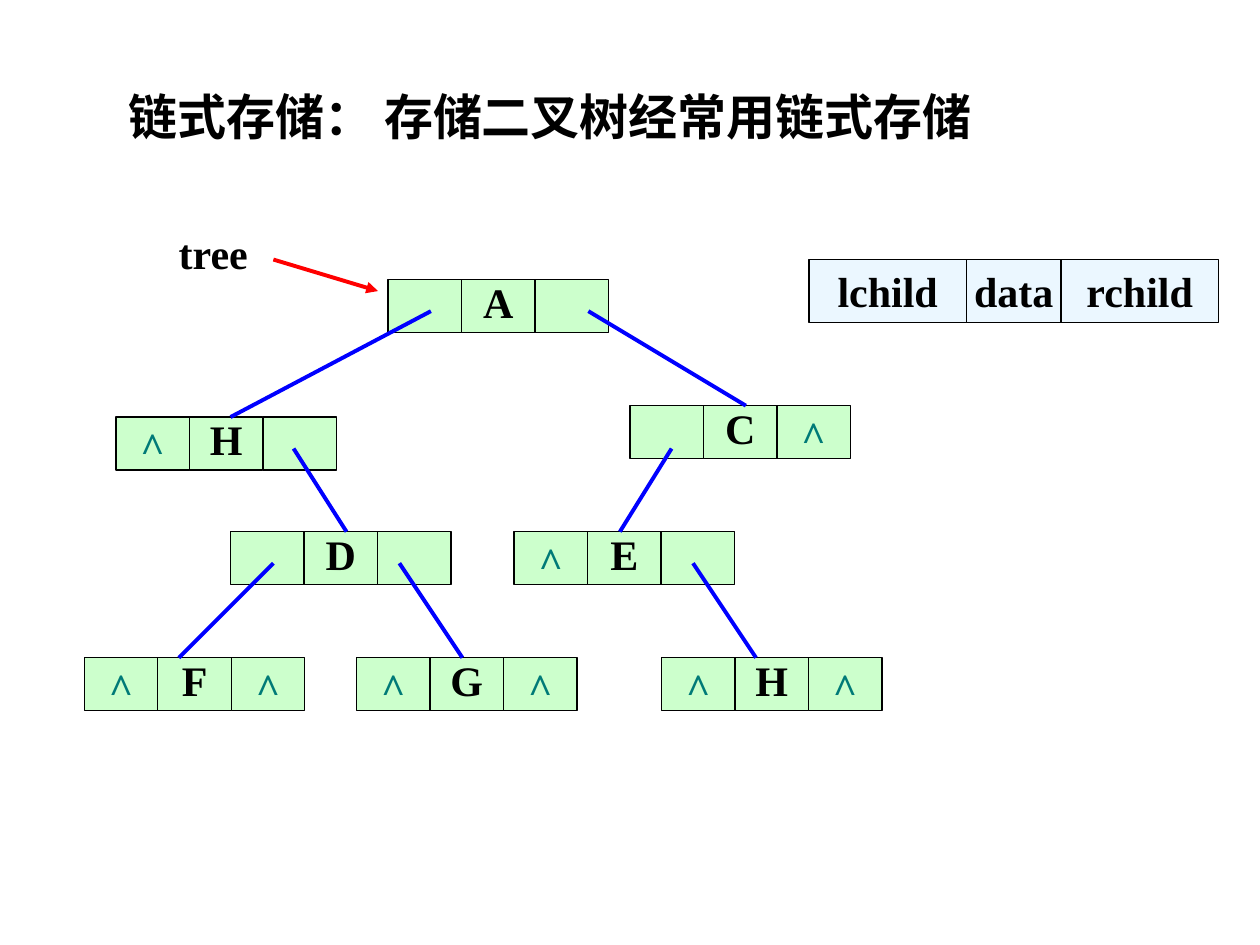
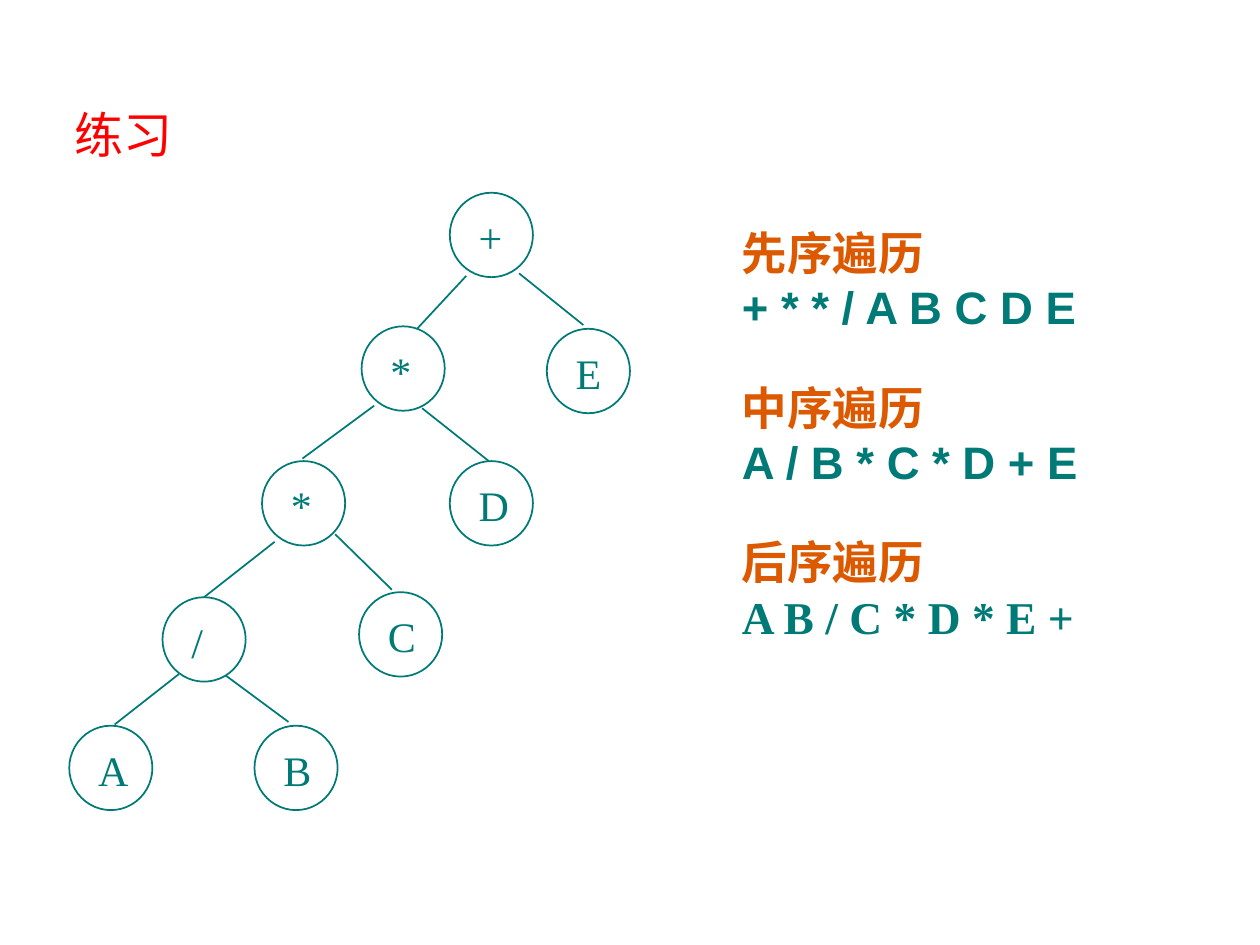
from lxml import etree
from pptx import Presentation
from pptx.dml.color import RGBColor
from pptx.enum.shapes import MSO_CONNECTOR, MSO_SHAPE
from pptx.enum.text import MSO_ANCHOR, MSO_AUTO_SIZE, PP_ALIGN
from pptx.oxml.ns import qn
from pptx.util import Inches, Pt

RECT, OVAL = MSO_SHAPE.RECTANGLE, MSO_SHAPE.OVAL
STRAIGHT = MSO_CONNECTOR.STRAIGHT
TOP, MIDDLE = MSO_ANCHOR.TOP, MSO_ANCHOR.MIDDLE
GROW, FIXED = MSO_AUTO_SIZE.SHAPE_TO_FIT_TEXT, MSO_AUTO_SIZE.NONE
LEFT, CENTER = PP_ALIGN.LEFT, PP_ALIGN.CENTER

BLACK = RGBColor(0x00, 0x00, 0x00)
TEAL = RGBColor(0x00, 0x7A, 0x77)
ORANGE = RGBColor(0xDC, 0x59, 0x00)
RED = RGBColor(0xFF, 0x00, 0x00)
BLUE = RGBColor(0x00, 0x00, 0xFF)
MINT = RGBColor(0xCC, 0xFF, 0xCC)
PALE = RGBColor(0xEB, 0xF7, 0xFF)
SERIF, SANS, HAN = "Times New Roman", "Arial", "Noto Sans CJK SC"

# Slide 1: linked storage of a binary tree
TITLE = "链式存储： 存储二叉树经常用链式存储"
FIELDS = [("lchild", 1.25), ("data", 0.75), ("rchild", 1.25)]
FIELD_X, FIELD_Y, FIELD_H = 6.42, 2.06, 0.5
CELL_W, CELL_H = 7 / 12, 0.42
NIL = "^"
RECORDS = [  # left, top, cells
    (3.08, 2.22, ("", "A", "")),
    (0.92, 3.31, (NIL, "H", "")),
    (1.83, 4.22, ("", "D", "")),
    (5.00, 3.22, ("", "C", NIL)),
    (2.83, 5.22, (NIL, "G", NIL)),
    (0.67, 5.22, (NIL, "F", NIL)),
    (5.25, 5.22, (NIL, "H", NIL)),
    (4.08, 4.22, (NIL, "E", "")),
]
POINTERS = [  # x1, y1, x2, y2
    (3.42, 2.47, 1.83, 3.31),
    (4.67, 2.47, 5.92, 3.22),
    (5.33, 3.56, 4.92, 4.22),
    (5.50, 4.47, 6.00, 5.22),
    (3.17, 4.47, 3.67, 5.22),
    (2.17, 4.47, 1.42, 5.22),
    (2.33, 3.56, 2.75, 4.22),
]
ROOT = (2.17, 2.06, 3.00, 2.31)

# Slide 2: traversal exercise
NODE_W, NODE_H = 0.66, 0.67
NODES = [  # left, top, label, label width
    (3.57, 1.53, "+", 0.39),
    (2.87, 2.59, "*", 0.37),
    (0.55, 5.76, "A", 0.44),
    (2.08, 3.66, "*", 0.37),
    (1.29, 4.74, "/", 0.29),
    (4.34, 2.61, "E", 0.41),
    (3.57, 3.66, "D", 0.44),
    (2.85, 4.70, "C", 0.42),
    (2.02, 5.76, "B", 0.42),
]
EDGES = [
    (3.70, 2.19, 3.31, 2.61),
    (1.42, 5.35, 0.91, 5.75),
    (2.97, 3.22, 2.40, 3.64),
    (2.18, 4.30, 1.62, 4.74),
    (4.12, 2.17, 4.63, 2.58),
    (3.35, 3.24, 3.88, 3.66),
    (2.66, 4.24, 3.11, 4.68),
    (1.79, 5.36, 2.29, 5.73),
]
ORDERS = [  # box, heading, sequence, font, anchor, wrap, fit
    ((5.79, 1.76, 2.88, 0.91), "先序遍历", "+ * * / A B C D E", SANS, MIDDLE, False, FIXED),
    ((5.79, 2.95, 2.88, 0.99), "中序遍历", "A / B * C * D + E", SANS, MIDDLE, False, FIXED),
    ((5.79, 4.19, 2.99, 0.97), "后序遍历", "A B / C * D * E +", SERIF, TOP, True, GROW),
]


def write(frame, lines, size, font=SERIF, bold=True, align=LEFT, space=None,
          anchor=TOP, wrap=False, fit=FIXED):
    """Fill a frame with (text, colour) lines."""
    frame.text = "\n".join(text for text, _ in lines)
    frame.word_wrap, frame.auto_size = wrap, fit
    frame.vertical_anchor = anchor
    for para, (_, color) in zip(frame.paragraphs, lines):
        para.alignment, para.line_spacing = align, space
        for run in para.runs:
            run.font.name, run.font.size, run.font.bold = font, Pt(size), bold
            run.font.color.rgb = color
            east = etree.SubElement(run.font._element, qn("a:ea"))
            east.set("typeface", HAN)


def label(slide, box, lines, size, **style):
    frame = slide.shapes.add_textbox(*map(Inches, box)).text_frame
    write(frame, lines, size, **style)


def outline(slide, kind, box, color, width, fill=None):
    shape = slide.shapes.add_shape(kind, *map(Inches, box))
    shape.shadow.inherit = False
    if fill is None:
        shape.fill.background()
    else:
        shape.fill.solid()
        shape.fill.fore_color.rgb = fill
    shape.line.color.rgb, shape.line.width = color, Pt(width)
    return shape


def cell(slide, box, text, fill, color=BLACK, space=None):
    shape = outline(slide, RECT, box, BLACK, 0.75, fill)
    if text:
        write(shape.text_frame, [(text, color)], 24, align=CENTER,
              space=space, anchor=MIDDLE)


def link(slide, ends, color, width, arrow=False):
    line = slide.shapes.add_connector(STRAIGHT, *map(Inches, ends))
    line.line.color.rgb, line.line.width = color, Pt(width)
    if arrow:
        tail = etree.SubElement(line.line._get_or_add_ln(), qn("a:tailEnd"))
        tail.set("type", "triangle")
    etree.SubElement(line._element.spPr, qn("a:effectLst"))


def draw_storage(slide):
    label(slide, (0.92, 0.64, 7.75, 0.57), [(TITLE, BLACK)], 28,
          wrap=True, fit=GROW)
    # Record layout
    x = FIELD_X
    for name, width in FIELDS:
        cell(slide, (x, FIELD_Y, width, FIELD_H), name, PALE)
        x += width
    # Tree records
    for left, top, texts in RECORDS:
        for i, text in enumerate(texts):
            color, space = (TEAL, 1.1) if text == NIL else (BLACK, 0.8)
            box = (left + i * CELL_W, top, CELL_W, CELL_H)
            cell(slide, box, text, MINT, color, space)
    # Pointers
    for ends in POINTERS:
        link(slide, ends, BLUE, 2.25)
    link(slide, ROOT, RED, 2.25, arrow=True)
    label(slide, (1.32, 1.83, 0.75, 0.42), [("tree", BLACK)], 24,
          space=0.8, fit=GROW)


def draw_exercise(slide):
    # Expression tree
    for left, top, text, width in NODES:
        outline(slide, OVAL, (left, top, NODE_W, NODE_H), TEAL, 1)
        label(slide, (left + 0.13, top + 0.1, width, 0.5), [(text, TEAL)], 24,
              bold=False, fit=GROW)
    for ends in EDGES:
        link(slide, ends, TEAL, 1)
    # Traversal answers
    for box, head, order, font, anchor, wrap, fit in ORDERS:
        label(slide, box, [(head, ORANGE), (order, TEAL)], 26, font=font,
              anchor=anchor, wrap=wrap, fit=fit)
    label(slide, (0.49, 0.69, 1.76, 0.75), [("练习", RED)], 28, font=HAN,
          bold=False, anchor=MIDDLE, wrap=True)


def main():
    deck = Presentation()
    deck.slide_width, deck.slide_height = Inches(10), Inches(7.5)
    for draw in (draw_storage, draw_exercise):
        draw(deck.slides.add_slide(deck.slide_layouts[6]))
    deck.save("out.pptx")


if __name__ == "__main__":
    main()
